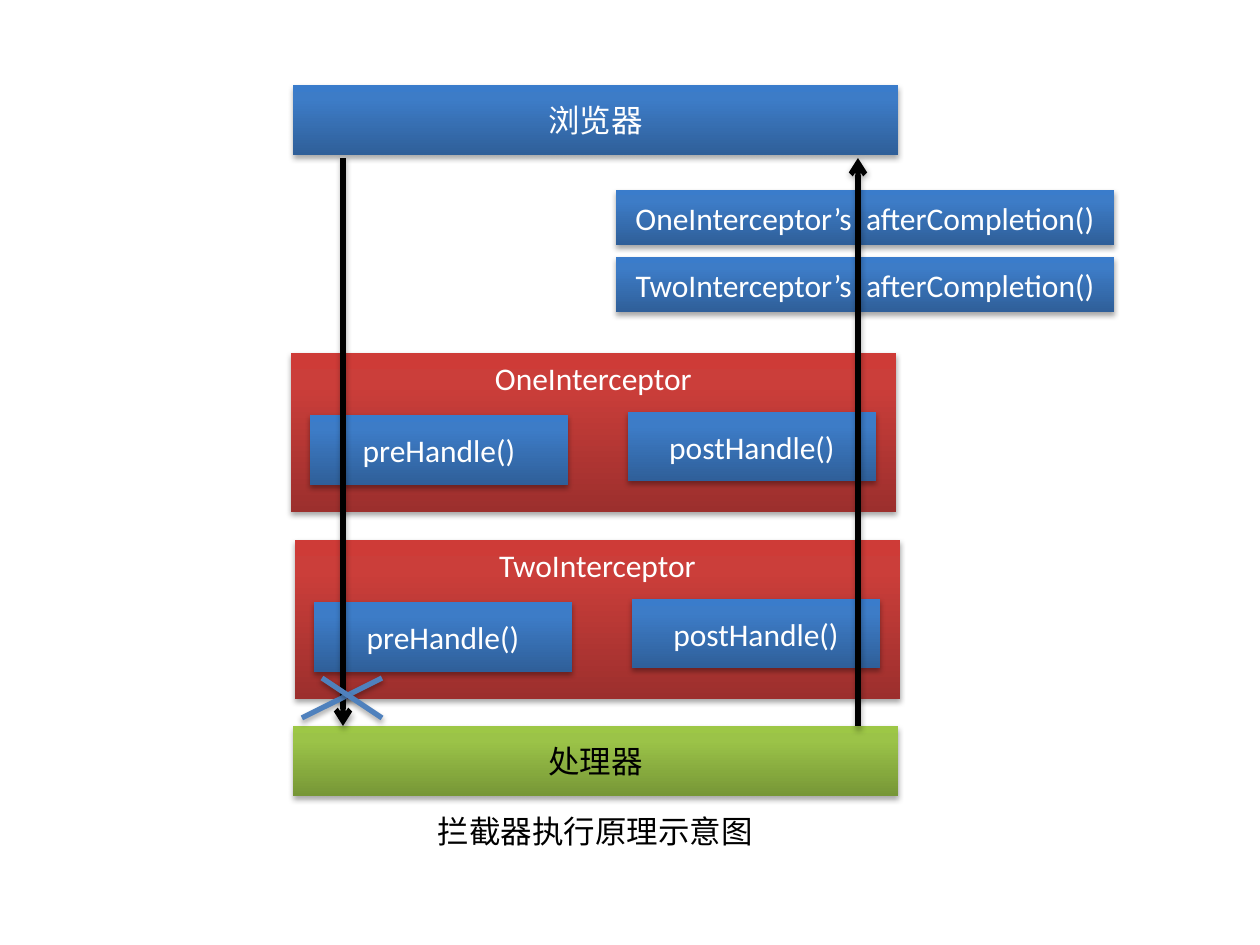
from copy import deepcopy

from lxml import etree
from pptx import Presentation
from pptx.dml.color import RGBColor
from pptx.enum.shapes import MSO_CONNECTOR, MSO_SHAPE
from pptx.enum.text import MSO_ANCHOR, MSO_AUTO_SIZE, PP_ALIGN
from pptx.oxml.ns import qn
from pptx.util import Emu, Pt

PIXEL = 914400 // 126
RECTANGLE = MSO_SHAPE.RECTANGLE
STRAIGHT = MSO_CONNECTOR.STRAIGHT
MIDDLE = MSO_ANCHOR.MIDDLE
CENTER = PP_ALIGN.CENTER
GROW = MSO_AUTO_SIZE.SHAPE_TO_FIT_TEXT

WHITE = RGBColor(0xFF, 0xFF, 0xFF)
BLACK = RGBColor(0x00, 0x00, 0x00)
CROSS_BLUE = RGBColor(0x4F, 0x81, 0xBD)
BLUE = (RGBColor(0x2F, 0x5F, 0x99), RGBColor(0x3D, 0x7C, 0xC7), RGBColor(0x3A, 0x7C, 0xCB))
RED = (RGBColor(0x9C, 0x2F, 0x2D), RGBColor(0xCB, 0x3E, 0x3A), RGBColor(0xCE, 0x3B, 0x37))
GREEN = (RGBColor(0x77, 0x97, 0x37), RGBColor(0x9B, 0xC3, 0x48), RGBColor(0x9D, 0xC7, 0x46))
STOPS = (0, 0.8, 1)


def px(*lengths):
    return [Emu(length * PIXEL) for length in lengths]


def add_shadow(properties):
    effects = properties.find(qn("a:effectLst"))
    if effects is None:
        effects = etree.SubElement(properties, qn("a:effectLst"))
    shadow = etree.SubElement(effects, qn("a:outerShdw"), blurRad="40000",
                              dist="23000", dir="5400000", rotWithShape="0")
    color = etree.SubElement(shadow, qn("a:srgbClr"), val="000000")
    etree.SubElement(color, qn("a:alpha"), val="35000")


def fill_gradient(shape, colors):
    shape.fill.gradient()
    shape.fill.gradient_angle = 90
    stop_list = shape._element.spPr.find(qn("a:gradFill")).find(qn("a:gsLst"))
    stop_list.append(deepcopy(stop_list[-1]))
    for stop, position, color in zip(shape.fill.gradient_stops, STOPS, colors):
        stop.position = position
        stop.color.rgb = color


def write(frame, text, color):
    frame.word_wrap = True
    paragraph = frame.paragraphs[0]
    paragraph.text = text
    paragraph.alignment = CENTER
    paragraph.font.name = "Calibri"
    paragraph.font.size = Pt(18)
    paragraph.font.color.rgb = color


def add_box(shapes, place, colors, text="", text_color=WHITE):
    box = shapes.add_shape(RECTANGLE, *px(*place))
    fill_gradient(box, colors)
    box.line.fill.background()
    box.shadow.inherit = False
    add_shadow(box._element.spPr)
    if text:
        box.text_frame.vertical_anchor = MIDDLE
        write(box.text_frame, text, text_color)


def add_label(shapes, place, text, color):
    label = shapes.add_textbox(*px(*place))
    write(label.text_frame, text, color)
    label.text_frame.auto_size = GROW


def add_line(shapes, ends, color, arrow=False):
    line = shapes.add_connector(STRAIGHT, *px(*ends))
    line.line.color.rgb = color
    line.line.width = Pt(3)
    if arrow:
        etree.SubElement(line.line._get_or_add_ln(), qn("a:tailEnd"), type="arrow")
    add_shadow(line._element.spPr)


def add_interceptor(slide, left, top, name):
    shapes = slide.shapes.add_group_shape().shapes
    add_box(shapes, (left, top, 605, 159), RED)
    add_box(shapes, (left + 19, top + 62, 258, 70), BLUE, "preHandle()")
    add_box(shapes, (left + 337, top + 59, 248, 69), BLUE, "postHandle()")
    add_label(shapes, (left, top, 605, 50), name, WHITE)


def main():
    presentation = Presentation()
    presentation.slide_width, presentation.slide_height = px(1260, 945)
    slide = presentation.slides.add_slide(presentation.slide_layouts[6])

    add_box(slide.shapes, (293, 85, 605, 70), BLUE, "浏览器")
    add_box(slide.shapes, (293, 726, 605, 70), GREEN, "处理器", BLACK)
    add_interceptor(slide, 291, 353, "OneInterceptor")
    add_label(slide.shapes, (293, 806, 605, 50), "拦截器执行原理示意图", BLACK)
    add_interceptor(slide, 295, 540, "TwoInterceptor")

    completions = slide.shapes.add_group_shape().shapes
    for row, name in enumerate(("One", "Two")):
        add_box(completions, (616, 190 + 67 * row, 498, 55), BLUE,
                f"{name}Interceptor’s  afterCompletion()")

    for ends in ((343, 158, 343, 726), (858, 726, 858, 158)):
        add_line(slide.shapes, ends, BLACK, arrow=True)

    cross = slide.shapes.add_group_shape().shapes
    for ends in ((382, 678, 302, 718), (322, 678, 382, 718)):
        add_line(cross, ends, CROSS_BLUE)

    presentation.save("out.pptx")


main()
